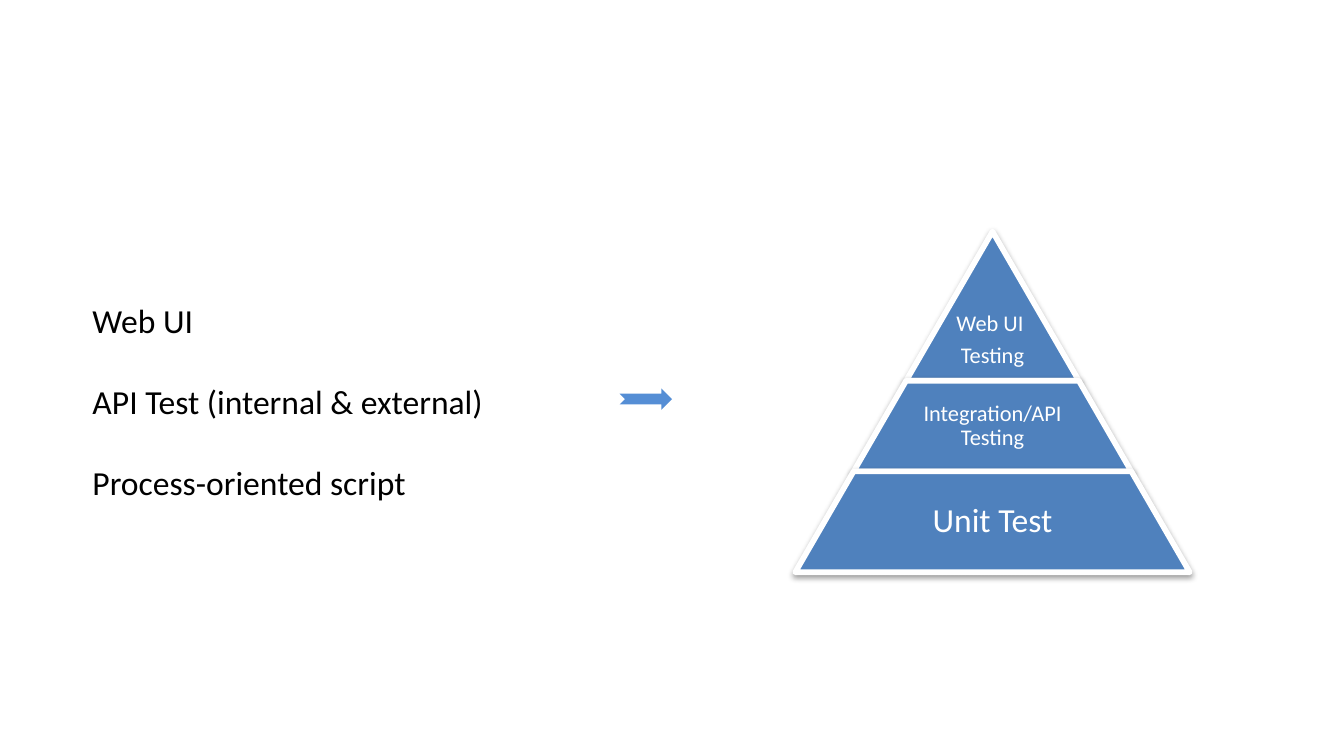
import pptx
import pptx.dml.color
import pptx.enum.shapes
import pptx.enum.text
import pptx.oxml
import pptx.oxml.ns
import pptx.util

HUES = {"ink": "000000", "tier": "4F81BD", "edge": "FFFFFF", "arrow": "558ED5"}
CELL = 0.1  # grid step in inches: 100 columns by 56.25 rows
FACE = "Calibri"
KIND = pptx.enum.shapes.MSO_SHAPE
ALIGN = pptx.enum.text.PP_ALIGN
ANCHOR = pptx.enum.text.MSO_ANCHOR
SHADE = (
    '<a:effectLst %s><a:outerShdw blurRad="40000" dist="20000" dir="5400000" '
    'rotWithShape="0"><a:srgbClr val="000000"><a:alpha val="38000"/></a:srgbClr>'
    "</a:outerShdw></a:effectLst>" % pptx.oxml.ns.nsdecls("a")
)


def grid(*cells):
    return [pptx.util.Inches(cell * CELL) for cell in cells]


def tint(name):
    return pptx.dml.color.RGBColor.from_string(HUES[name])


def apply(target, form):
    for key, value in form.items():
        setattr(target, key, value)


class Deck:
    def __init__(self, cols, rows):
        self.show = pptx.Presentation()
        self.show.slide_width, self.show.slide_height = grid(cols, rows)
        self.slide = self.show.slides.add_slide(self.show.slide_layouts[6])

    def text(self, box, lines, size, hue, frame, para):
        body = self.slide.shapes.add_textbox(*grid(*box)).text_frame
        apply(body, frame)
        for i, line in enumerate(lines):
            part = body.paragraphs[0] if i == 0 else body.add_paragraph()
            part.text = line
            apply(part, para)
            if i == 0:
                part.space_before = pptx.util.Pt(0)
            apply(part.font, {"size": pptx.util.Pt(size), "name": FACE})
            part.font.color.rgb = tint(hue)

    def shape(self, kind, box, fill):
        item = self.slide.shapes.add_shape(kind, *grid(*box))
        item.shadow.inherit = False
        item.fill.solid()
        item.fill.fore_color.rgb = tint(fill)
        item.line.fill.background()
        return item

    def tier(self, box, slope):
        item = self.shape(KIND.TRAPEZOID, box, "tier")
        item.adjustments[0] = slope
        item.line.color.rgb = tint("edge")
        item.line.width = pptx.util.Pt(3)
        # Replace the empty effect list with a soft drop shadow
        props = item.fill._xPr
        old = props.find(pptx.oxml.ns.qn("a:effectLst"))
        props.replace(old, pptx.oxml.parse_xml(SHADE))


def main():
    deck = Deck(100, 56.25)

    # Topics on the left
    topics = ["Web UI", "API Test (internal & external)", "Process-oriented script"]
    deck.text((5.9, 21.8, 31.4, 16.2), topics, 18, "ink",
              {"word_wrap": False}, {"space_before": pptx.util.Pt(21.8)})

    # Test pyramid: each tier is as wide as its depth below the peak allows
    mid, peak, slope = 73.85, 17.23, 0.579
    pad = pptx.util.Inches(0.02)
    frame = {"word_wrap": True, "vertical_anchor": ANCHOR.MIDDLE}
    frame.update({"margin_" + side: pad for side in ("left", "top", "right", "bottom")})
    para = {"alignment": ALIGN.CENTER, "line_spacing": 0.9,
            "space_after": pptx.util.Pt(4.2)}
    tiers = [  # height, label drop, lines, text size
        (11.1, 5, ["Web UI ", "Testing"], 12),
        (6.75, 0, ["Integration/API Testing"], 12),
        (7.5, 0, ["Unit Test"], 18),
    ]
    depth = 0
    for high, drop, lines, size in tiers:
        top = peak + depth
        depth += high
        wide = 2 * slope * depth
        deck.tier((mid - wide / 2, top, wide, high), slope)
        span = wide * 0.65
        deck.text((mid - span / 2, top + drop, span, high - drop),
                  lines, size, "edge", frame, para)

    # Arrow from topics to pyramid
    deck.shape(KIND.NOTCHED_RIGHT_ARROW, (46.1, 28.9, 3.9, 1.6), "arrow")

    deck.show.save("out.pptx")


if __name__ == "__main__":
    main()
